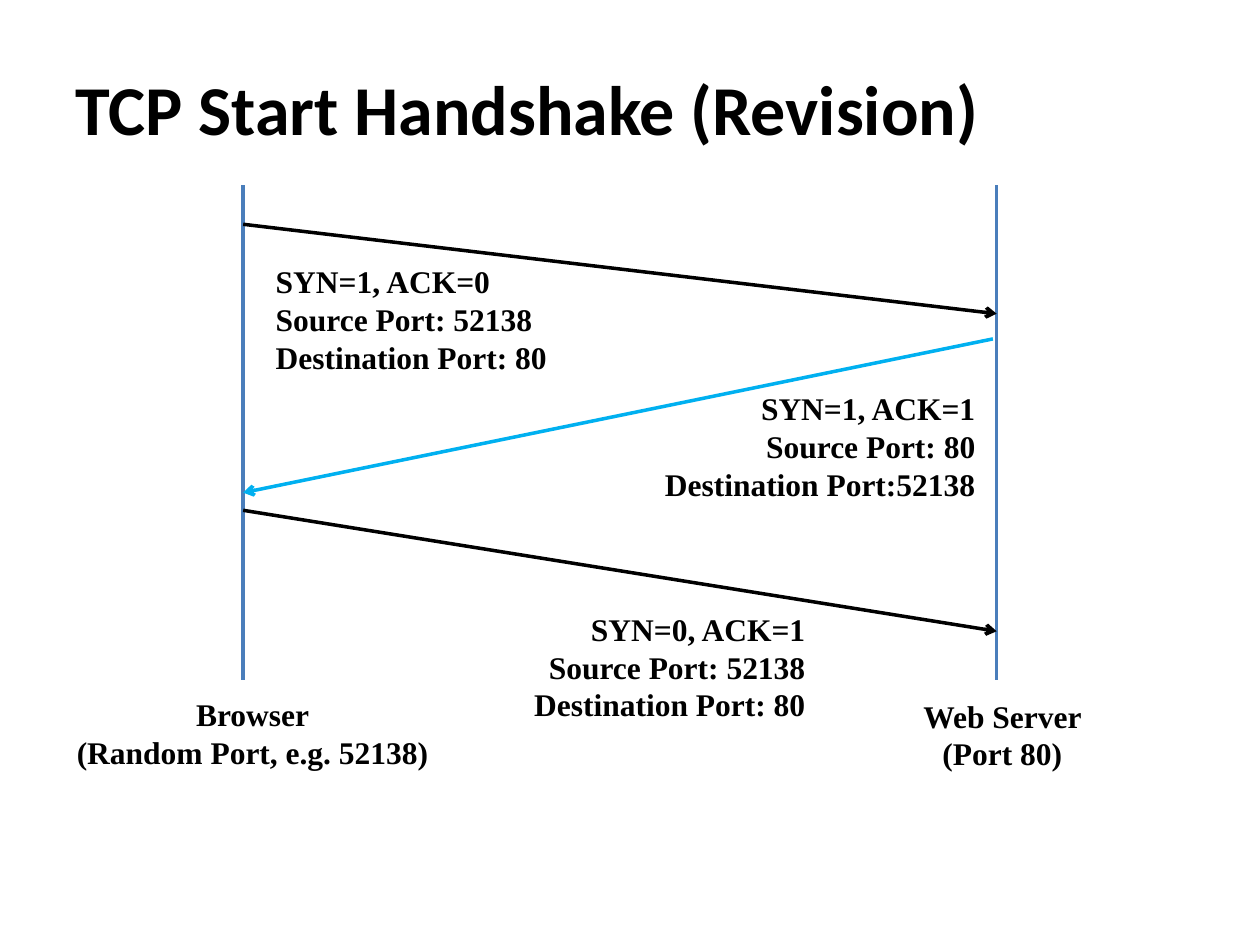
from lxml import etree
from pptx import Presentation
from pptx.dml.color import RGBColor
from pptx.enum import shapes, text
from pptx.oxml import ns
from pptx.util import Inches, Pt

BROWSER_X = 1.93
SERVER_X = 7.91
BLACK = "000000"
ALIGN = text.PP_ALIGN


def color(value):
    return RGBColor.from_string(value)


def add_span(para, words, font, size):
    span = para.add_run()
    span.text = words
    span.font.name = font
    span.font.size = Pt(size)
    span.font.bold = True
    span.font.color.rgb = color(BLACK)


def set_title(page, words):
    title = page.shapes.title
    title.left, title.top = Inches(0.5), Inches(0.31)
    title.width, title.height = Inches(9), Inches(1.09)
    title.text_frame.vertical_anchor = text.MSO_ANCHOR.MIDDLE
    para = title.text_frame.paragraphs[0]
    para.alignment = ALIGN.LEFT
    add_span(para, words, "Calibri", 40)


def add_label(page, left, top, width, lines, alignment, height=1):
    box = page.shapes.add_textbox(
        Inches(left), Inches(top), Inches(width), Inches(height))
    frame = box.text_frame
    frame.word_wrap = True
    frame.auto_size = text.MSO_AUTO_SIZE.SHAPE_TO_FIT_TEXT
    for index, words in enumerate(lines):
        para = frame.add_paragraph() if index else frame.paragraphs[0]
        para.alignment = alignment
        add_span(para, words, "Times New Roman", 18)


def add_line(page, start, end, stroke, arrow=False):
    line = page.shapes.add_connector(
        shapes.MSO_CONNECTOR.STRAIGHT, *map(Inches, start + end))
    line.line.color.rgb = color(stroke)
    line.line.width = Pt(2)
    if arrow:
        tail = etree.SubElement(line.line._get_or_add_ln(), ns.qn("a:tailEnd"))
        tail.set("type", "arrow")
    etree.SubElement(line._element.spPr, ns.qn("a:effectLst"))


def main():
    deck = Presentation()
    deck.slide_width, deck.slide_height = Inches(10), Inches(7.5)
    page = deck.slides.add_slide(deck.slide_layouts[5])
    set_title(page, "TCP Start Handshake (Revision)")

    for x in (BROWSER_X, SERVER_X):
        add_line(page, (x, 1.47), (x, 5.4), "4A7EBB")

    messages = [
        ((BROWSER_X, 1.78), (SERVER_X, 2.49), BLACK),
        ((7.88, 2.69), (BROWSER_X, 3.91), "00B0F0"),
        ((BROWSER_X, 4.05), (SERVER_X, 5.01), BLACK),
    ]
    for start, end, stroke in messages:
        add_line(page, start, end, stroke, arrow=True)

    segments = [
        (2.09, 2.03, 2.64, ALIGN.LEFT,
         ["SYN=1, ACK=0", "Source Port: 52138", "Destination Port: 80"]),
        (5.04, 3.04, 2.8, ALIGN.RIGHT,
         ["SYN=1, ACK=1", "Source Port: 80", "Destination Port:52138"]),
        (3.7, 4.79, 2.79, ALIGN.RIGHT,
         ["SYN=0, ACK=1", "Source Port: 52138", "Destination Port: 80"]),
    ]
    for left, top, width, alignment, lines in segments:
        add_label(page, left, top, width, lines, alignment)

    hosts = [
        (0.35, 5.47, 3.31, ["Browser", "(Random Port, e.g. 52138)"]),
        (6.97, 5.48, 1.97, ["Web Server (Port 80)"]),
    ]
    for left, top, width, lines in hosts:
        add_label(page, left, top, width, lines, ALIGN.CENTER, height=0.7)

    deck.save("out.pptx")


if __name__ == "__main__":
    main()
